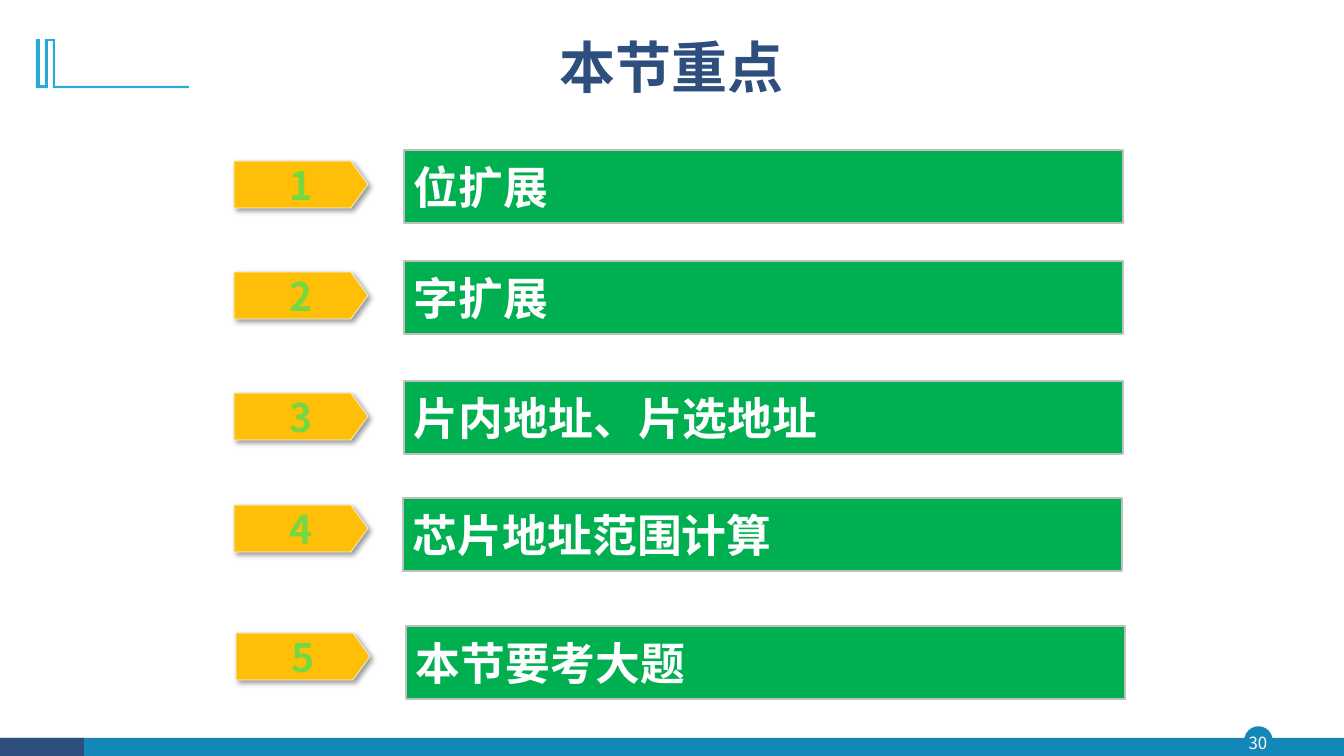
from lxml import etree
from pptx import Presentation, util as u
from pptx.dml.color import RGBColor
from pptx.enum import shapes, text
from pptx.oxml import ns

PX = 914400 / 100.8
FONT = "Noto Sans CJK SC"
NAVY = RGBColor(0x2E, 0x4E, 0x7E)
BLUE = RGBColor(0x13, 0x87, 0xB7)
SKY = RGBColor(0x28, 0xA9, 0xD6)
AMBER = RGBColor(0xFF, 0xBF, 0x09)
GREEN = RGBColor(0x00, 0xB0, 0x50)
LIME = RGBColor(0x75, 0xD8, 0x40)
GREY = RGBColor(0xBF, 0xBF, 0xBF)
PALE = RGBColor(0xF2, 0xF2, 0xF2)
WHITE = RGBColor(0xFF, 0xFF, 0xFF)


def write(sp, words, size, color, bold=True, align=text.PP_ALIGN.CENTER,
          insets=(0, 0, 0, 0), spacing=None):
    tf = sp.text_frame
    tf.word_wrap = True
    tf.auto_size = text.MSO_AUTO_SIZE.NONE
    tf.vertical_anchor = text.MSO_ANCHOR.MIDDLE
    tf.margin_left, tf.margin_top, tf.margin_right, tf.margin_bottom = [
        u.Emu(round(n * PX)) for n in insets]
    p = tf.paragraphs[0]
    p.alignment = align
    p.line_spacing = spacing
    r = p.add_run()
    r.text = words
    r.font.size = u.Pt(size)
    r.font.bold = bold
    r.font.color.rgb = color
    r.font.name = FONT
    ea = etree.SubElement(r.font._element, ns.qn("a:ea"))
    ea.set("typeface", FONT)


def add_block(kind, box, fill, line=None, width=1):
    sp = s.shapes.add_shape(kind, *[u.Emu(round(n * PX)) for n in box])
    sp.shadow.inherit = False
    sp.fill.solid()
    sp.fill.fore_color.rgb = fill
    if line is None:
        sp.line.fill.background()
    else:
        sp.line.color.rgb = line
        sp.line.width = u.Pt(width)
    return sp


prs = Presentation()
prs.slide_width = u.Emu(round(1344 * PX))
prs.slide_height = u.Emu(round(756 * PX))
s = prs.slides.add_slide(prs.slide_layouts[5])
SHAPE = shapes.MSO_SHAPE

title = s.shapes.title
title.left, title.top, title.width, title.height = [
    u.Emu(round(n * PX)) for n in (312, 14, 719, 113)]
write(title, "本节重点", 40, NAVY, insets=(10, 5, 10, 5), spacing=0.9)

page = add_block(SHAPE.OVAL, (1245, 727, 27, 27), BLUE, BLUE)
add_block(SHAPE.RECTANGLE, (1, 738, 1343, 18), BLUE)
add_block(SHAPE.RECTANGLE, (0, 738, 84, 18), NAVY)
number = s.shapes.add_textbox(*[u.Emu(round(n * PX)) for n in (1242, 727, 32, 31)])
write(number, "30", 12, WHITE, bold=False)

corner = s.shapes.build_freeform(55, 39, scale=PX)
corner.add_line_segments([
    (55, 86), (189, 86), (189, 88), (53, 88), (53, 41), (48, 41), (48, 88),
    (36, 88), (36, 39), (40, 39), (40, 85), (45, 85), (45, 39)])
sp = corner.convert_to_shape()
sp.shadow.inherit = False
sp.fill.solid()
sp.fill.fore_color.rgb = SKY
sp.line.fill.background()

topics = [
    ("位扩展", 234, 161, 404, 150),
    ("字扩展", 234, 272, 404, 261),
    ("片内地址、片选地址", 234, 393, 404, 381),
    ("芯片地址范围计算", 234, 505, 403, 498),
    ("本节要考大题", 236, 633, 406, 626),
]
for n, (topic, tag_x, tag_y, bar_x, bar_y) in enumerate(topics, 1):
    tag = add_block(SHAPE.PENTAGON, (tag_x, tag_y, 134, 47), AMBER, PALE, 0.5)
    tag.adjustments[0] = 0.365
    effects = tag._element.spPr.find(ns.qn("a:effectLst"))
    shadow = etree.SubElement(effects, ns.qn("a:outerShdw"), blurRad="50800",
                              dist="38100", dir="2700000", algn="tl", rotWithShape="0")
    tint = etree.SubElement(shadow, ns.qn("a:srgbClr"), val="000000")
    etree.SubElement(tint, ns.qn("a:alpha"), val="40000")
    write(tag, str(n), 28, LIME, insets=(9, 0, 0, 0))

    bar = add_block(SHAPE.RECTANGLE, (bar_x, bar_y, 719, 73), GREEN, GREY, 1.5)
    write(bar, topic, 32, WHITE, align=text.PP_ALIGN.LEFT, insets=(10, 5, 10, 5))

prs.save("out.pptx")
